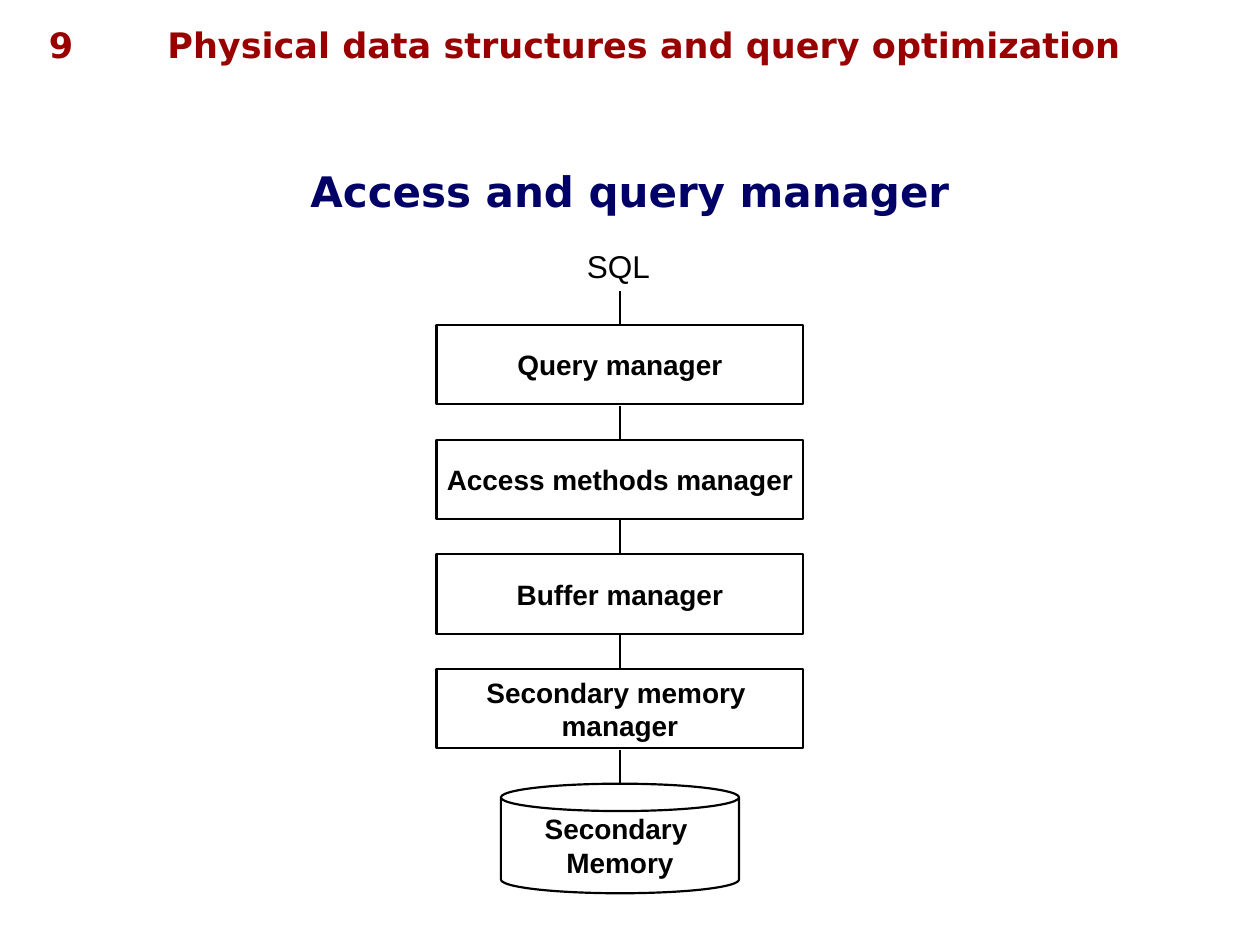
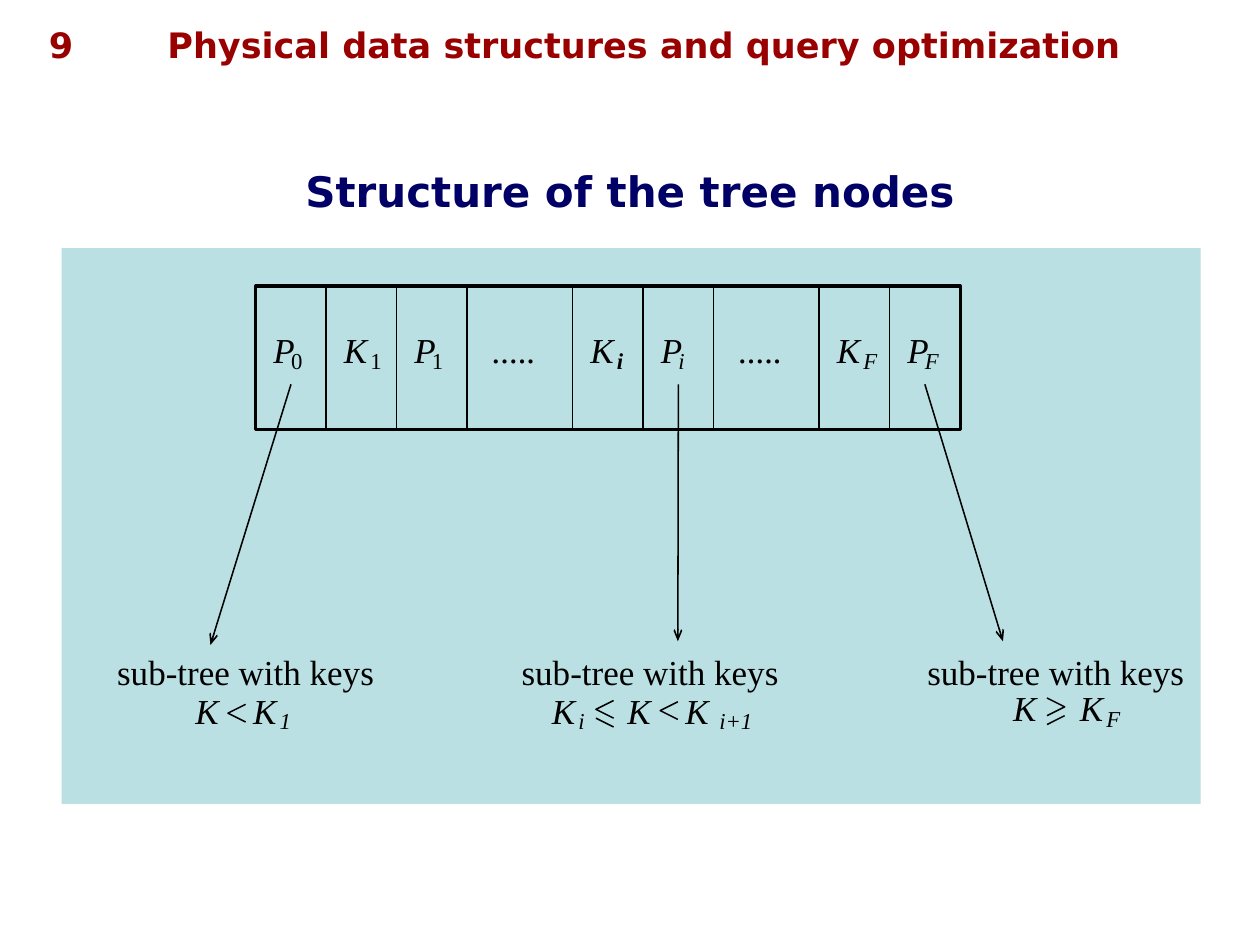
from dataclasses import dataclass

from lxml.etree import SubElement
from pptx import Presentation
from pptx.dml.color import RGBColor
from pptx.enum.shapes import MSO_CONNECTOR as Connector, MSO_SHAPE as Shape
from pptx.enum.text import MSO_ANCHOR as Anchor, MSO_AUTO_SIZE as AutoSize, PP_ALIGN as Align
from pptx.oxml.ns import qn
from pptx.util import Inches, Pt


@dataclass(frozen=True)
class Theme:
    black: RGBColor = RGBColor.from_string("000000")
    header: RGBColor = RGBColor.from_string("990000")
    title: RGBColor = RGBColor.from_string("000066")
    panel: RGBColor = RGBColor.from_string("BBE0E3")
    heading_font: str = "DejaVu Sans"
    label_font: str = "Arial"
    math_font: str = "Times New Roman"
    title_size: int = 24
    header_size: int = 20
    sql_size: int = 18
    label_size: int = 16
    math_size: int = 20
    sub_size: int = 13
    box_line: float = 1.25
    node_line: float = 1.75
    thin_line: float = 0.88


theme = Theme()


def write(box, text, font=theme.math_font, size=theme.math_size, color=theme.black,
          bold=False, italic=False, align=Align.LEFT, anchor=Anchor.TOP,
          margins=(0, 0), wrap=False):
    """Put text into a box, one paragraph for each line."""
    frame = box.text_frame
    frame.text = text
    frame.word_wrap = wrap
    frame.auto_size = AutoSize.NONE
    frame.vertical_anchor = anchor
    frame.margin_left = frame.margin_right = Inches(margins[0])
    frame.margin_top = frame.margin_bottom = Inches(margins[1])
    for para in frame.paragraphs:
        para.alignment = align
        for span in para.runs:
            span.font.name = font
            span.font.size = Pt(size)
            span.font.color.rgb = color
            span.font.bold = bold
            span.font.italic = italic


def draw_line(page, start, end, width=theme.thin_line, arrow=False):
    """Draw a straight black line, with an open arrowhead at its end if asked."""
    line = page.shapes.add_connector(Connector.STRAIGHT, *map(Inches, (*start, *end)))
    line.line.color.rgb = theme.black
    line.line.width = Pt(width)
    if arrow:
        SubElement(line.line._get_or_add_ln(), qn("a:tailEnd"), type="arrow", w="sm", len="med")
    SubElement(line._element.spPr, qn("a:effectLst"))


deck = Presentation()
deck.slide_width, deck.slide_height = Inches(10), Inches(7.5)

# Pages with the shared header and title
pages = []
for title in ("Access and query manager", "Structure of the tree nodes"):
    page = deck.slides.add_slide(deck.slide_layouts[5])
    for text, left, width, align in (
        ("Physical data structures and query optimization", 1.23, 8.51, Align.LEFT),
        ("9", 0.13, 0.71, Align.CENTER),
    ):
        header = page.shapes.add_textbox(*map(Inches, (left, 0.14, width, 0.44)))
        write(header, text, font=theme.heading_font, size=theme.header_size,
              color=theme.header, bold=True, align=align, margins=(0.1, 0.05), wrap=True)
    heading = page.shapes.title
    heading.left, heading.top, heading.width, heading.height = map(Inches, (0, 1.24, 10, 0.54))
    write(heading, title, font=theme.heading_font, size=theme.title_size, color=theme.title,
          bold=True, align=Align.CENTER, anchor=Anchor.MIDDLE, margins=(0.1, 0.05), wrap=True)
    pages.append(page)
stack_page, node_page = pages

# Slide 1: stack of managers, from the query down to the memory
STACK_CENTER, STACK_TOP, STACK_PITCH, LINK = 4.92, 2.58, 0.91, 0.27

sql = stack_page.shapes.add_textbox(*map(Inches, (4.56, 1.91, 0.7, 0.4)))
write(sql, "SQL", font=theme.label_font, size=theme.sql_size, margins=(0.1, 0.05))

layers = (
    ("Query manager", Shape.RECTANGLE, 2.91, 0.63),
    ("Access methods manager", Shape.RECTANGLE, 2.91, 0.63),
    ("Buffer manager", Shape.RECTANGLE, 2.91, 0.63),
    ("Secondary memory \nmanager", Shape.RECTANGLE, 2.91, 0.63),
    ("Secondary \nMemory", Shape.CAN, 1.89, 0.87),
)
for index, (text, kind, width, height) in enumerate(layers):
    top = STACK_TOP + index * STACK_PITCH
    draw_line(stack_page, (STACK_CENTER, top - LINK), (STACK_CENTER, top), theme.box_line)
    layer = stack_page.shapes.add_shape(
        kind, *map(Inches, (STACK_CENTER - width / 2, top, width, height)))
    layer.shadow.inherit = False
    layer.fill.background()
    layer.line.color.rgb = theme.black
    layer.line.width = Pt(theme.box_line)
    write(layer, text, font=theme.label_font, size=theme.label_size, bold=True,
          align=Align.CENTER, anchor=Anchor.MIDDLE, margins=(0.1, 0.05))

# Slide 2: panel and node outline
NODE_LEFT, NODE_TOP, NODE_WIDTH, NODE_HEIGHT = 2.03, 2.27, 5.59, 1.14

panel = node_page.shapes.add_shape(Shape.RECTANGLE, *map(Inches, (0.49, 1.97, 9.04, 4.41)))
panel.shadow.inherit = False
panel.fill.solid()
panel.fill.fore_color.rgb = theme.panel
panel.line.fill.background()

node = node_page.shapes.add_shape(
    Shape.RECTANGLE, *map(Inches, (NODE_LEFT, NODE_TOP, NODE_WIDTH, NODE_HEIGHT)))
node.shadow.inherit = False
node.fill.background()
node.line.color.rgb = theme.black
node.line.width = Pt(theme.node_line)

# Node cells: symbol, subscript and tip of the pointer that leaves the cell
cells = (
    ("P", "0", (1.67, 5.12)), ("K", "1", None), ("P", "1", None), (".....", "", None),
    ("K", "i", None), ("P", "i", (5.38, 5.09)), (".....", "", None),
    ("K", "F", None), ("P", "F", (7.96, 5.09)),
)
UNIT = NODE_WIDTH / 10  # seven single cells and two of one and a half
letters = []  # text, left, top, is a subscript
left = NODE_LEFT
for symbol, sub, tip in cells:
    if left > NODE_LEFT:
        draw_line(node_page, (left, NODE_TOP), (left, NODE_TOP + NODE_HEIGHT))
    letters.append((symbol, left + (0.14 if sub else 0.2), 2.61, False))
    if sub:
        letters.append((sub, left + (0.28 if symbol == "P" else 0.35), 2.75, True))
    if tip:
        draw_line(node_page, (left + UNIT / 2, 3.05), tip, arrow=True)
    left += UNIT if sub else 1.5 * UNIT

# Captions and key conditions under the pointers
conditions = (  # caption left, top of the keys, lefts of the keys, subscripts
    (0.93, 5.47, (1.55, 2.01), (("1", 2.22),)),
    (4.14, 5.47, (4.38, 4.98, 5.44), (("i", 4.59), ("i+1", 5.71))),
    (7.36, 5.45, (8.04, 8.57), (("F", 8.78),)),
)
for caption_left, top, keys, subs in conditions:
    caption = node_page.shapes.add_textbox(*map(Inches, (caption_left, 5.16, 2.04, 0.33)))
    write(caption, "sub-tree with keys")
    letters += [("K", key, top, False) for key in keys]
    letters += [(sub, sub_left, top + 0.14, True) for sub, sub_left in subs]

widths = {"P": 0.17, "K": 0.19, ".....": 0.35, "i": 0.05, "F": 0.11, "i+1": 0.26}
for text, left, top, is_sub in letters:
    letter = node_page.shapes.add_textbox(
        *map(Inches, (left, top, widths.get(text, 0.09), 0.22 if is_sub else 0.33)))
    upright = text in ("0", "1") and top < NODE_TOP + NODE_HEIGHT
    write(letter, text, size=theme.sub_size if is_sub else theme.math_size,
          italic=not upright, bold=text == "i" and 4.8 < left < 5)

# Comparison signs: back and tip of the angle, top, with or without the bar
SIGN = 0.14
for back, tip, top, has_bar in (
    (1.95, 1.81, 5.59, False),
    (4.87, 4.73, 5.56, True),
    (5.38, 5.24, 5.57, False),
    (8.31, 8.45, 5.54, True),
):
    builder = node_page.shapes.build_freeform(Inches(back), Inches(top))
    builder.add_line_segments(
        [(Inches(tip), Inches(top + SIGN / 2)), (Inches(back), Inches(top + SIGN))], close=False)
    angle = builder.convert_to_shape()
    angle.shadow.inherit = False
    angle.fill.background()
    angle.line.color.rgb = theme.black
    angle.line.width = Pt(theme.thin_line)
    if has_bar:
        draw_line(node_page, (tip, top + SIGN), (back, top + 1.5 * SIGN))

deck.save("out.pptx")
